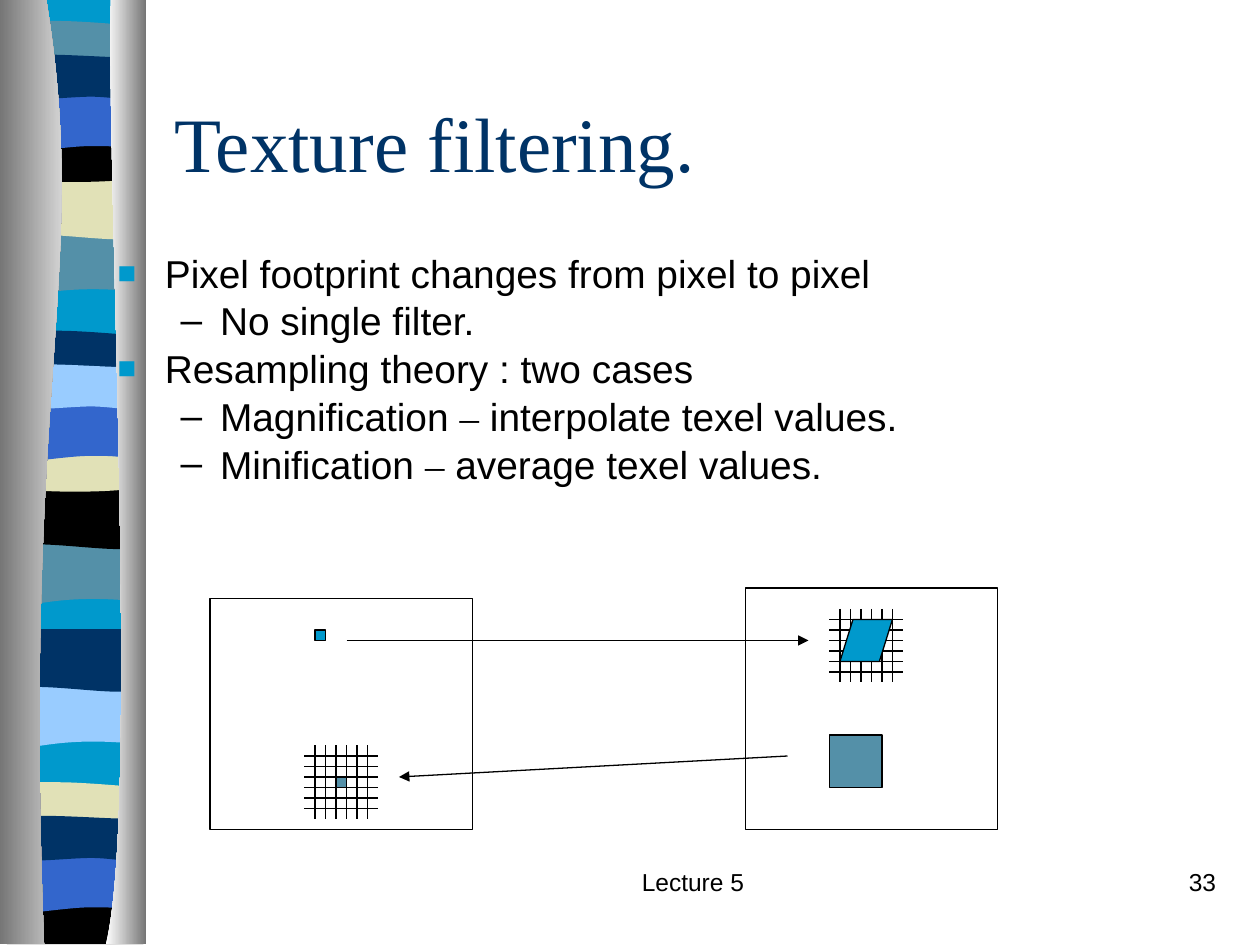
from lxml import etree
from pptx import Presentation
from pptx import util as u
from pptx.dml import color
from pptx.enum import shapes, text
from pptx.oxml import ns

Pt = u.Pt
BLACK, WHITE, NAVY, ROYAL = "000000", "FFFFFF", "003366", "3366CC"
CYAN, TEAL, SAND, SKY, GREY = "0099CC", "5490A8", "E1E1B7", "99CCFF", "767676"
STEP = 6

WAVES = {
    "tide": (118, [(82, 0), (82, 0, 82, 34, 82, 34), (28, 28, 17, 40, 4, 34), (4, 0)]),
    "swell": (86, [(82, 0), (82, 34), (69, 39.6, 28, 30, 4, 34), (4, 0)]),
    "strip": (0, [(82, 0), (82, 17.3), (69, 20, 17, 20, 4, 17.3), (4, 0),
                  (8, -3.6, 21, -3, 34, -3), (47, -3, 72, -0.7, 82, 0)]),
    "dip": (62.5, [(82, 0), (82, 23.5), (69, 27.5, 17, 27.5, 4, 23.5), (4, 0),
                   (52, 3.6, 65, 0, 82, 0)]),
    "floor": (62.5, [(82, 0), (82, 27), (4, 27), (4, 0), (52, 3.6, 65, 0, 82, 0)]),
    "arch": (38.5, [(82, 0), (82, 0, 82, 34, 82, 34), (70, 30, 65, 30, 52, 30),
                    (39, 30, 16, 34, 4, 34), (4, 0)]),
    "ripple": (17.8, [(82, 0), (82, 22.5), (77, 26, 65, 22.5, 52, 22.5),
                      (39, 22.5, 12, 26, 4, 22.5), (4, 0),
                      (15, -3.6, 57, 0, 70, 0), (83, 0, 79, 0, 82, 0)]),
}
BANDS = [
    (15, {"tide": TEAL, "swell": SAND, "strip": TEAL, "dip": BLACK,
          "arch": ROYAL, "ripple": NAVY}),
    (192, {"tide": TEAL, "swell": BLACK, "strip": NAVY, "dip": SAND,
           "arch": ROYAL, "ripple": SKY}),
    (273.5, {"tide": SKY, "swell": NAVY}),
    (450, {"strip": SAND, "floor": BLACK, "arch": ROYAL, "ripple": NAVY}),
]
LEFT_PILLAR = [(26.5, 0), (51.8, 156, 12.5, 213, 25.2, 539.5), (0, 539.5), (0, 0)]
RIGHT_PILLAR = [(63.4, 0), (60.5, 90, 80, 465, 60.5, 539.5), (83.5, 539.5), (83.5, 0)]
POINTS = [
    (0, [("Pixel footprint changes from pixel to pixel", "Arial")]),
    (1, [("No single filter.", "Arial")]),
    (0, [("Resampling theory : two cases", "Arial")]),
    (1, [("Magnification ", "Arial"), ("–", "Times New Roman"),
         (" interpolate texel values.", "Arial")]),
    (1, [("Minification ", "Arial"), ("–", "Times New Roman"),
         (" average texel values.", "Arial")]),
]
BULLETS = [(27, -27, "■", CYAN, 80), (58.5, -22.5, "–", BLACK, 100)]


def rgb(value):
    """Turn a hex string into a colour."""
    return color.RGBColor.from_string(value)


class Painter:
    """Hold the style and the current page."""

    def __init__(self, page, line=0.75):
        self.page, self.line = page, line

    def outline(self, parts, fill, top=0):
        """Draw corners and cubic curves as a borderless filled outline."""
        points = [(Pt(part[i]), Pt(part[i + 1] + top))
                  for part in parts for i in range(0, len(part), 2)]
        builder = self.page.shapes.build_freeform(*points[0], scale=1.0)
        builder.add_line_segments(points[1:], close=True)
        shape = builder.convert_to_shape()
        segments = iter(list(shape._element.iter(ns.qn("a:lnTo"))))
        for part in parts[1:]:
            first = next(segments)
            if len(part) == 6:
                first.tag = ns.qn("a:cubicBezTo")
                for segment in (next(segments), next(segments)):
                    first.append(segment[0])
                    segment.getparent().remove(segment)
        shape.shadow.inherit = False
        shape.line.fill.background()
        if isinstance(fill, str):
            shape.fill.solid()
            shape.fill.fore_color.rgb = rgb(fill)
        else:
            shape.fill.gradient()
            shape.fill.gradient_angle = 0
            for stop, value in zip(shape.fill.gradient_stops, fill):
                stop.color.rgb = rgb(value)

    def block(self, x, y, width, height, fill, kind=shapes.MSO_SHAPE.RECTANGLE):
        """Draw a filled preset shape with a thin border."""
        shape = self.page.shapes.add_shape(kind, Pt(x), Pt(y), Pt(width), Pt(height))
        shape.shadow.inherit = False
        shape.fill.solid()
        shape.fill.fore_color.rgb = rgb(fill)
        shape.line.color.rgb = rgb(BLACK)
        shape.line.width = Pt(self.line)
        return shape

    def stroke(self, *ends, arrow=False):
        """Draw a straight line, with an arrowhead at its end if asked."""
        line = self.page.shapes.add_connector(
            shapes.MSO_CONNECTOR.STRAIGHT, *[Pt(end) for end in ends])
        line.line.color.rgb = rgb(BLACK)
        line.line.width = Pt(self.line)
        if arrow:
            etree.SubElement(line.line._get_or_add_ln(), ns.qn("a:tailEnd"), type="triangle")
        etree.SubElement(line._element.spPr, ns.qn("a:effectLst"))

    def grid(self, x, y, count=6):
        """Draw a texel grid whose lines overhang by one step."""
        size = (count + 1) * STEP
        for i in range(1, count + 1):
            self.stroke(x + i * STEP, y, x + i * STEP, y + size)
        for i in range(count, 0, -1):
            self.stroke(x, y + i * STEP, x + size, y + i * STEP)

    def span(self, para, words, font, size, value=BLACK):
        """Add one styled run."""
        span = para.add_run()
        span.text = words
        span.font.name, span.font.size = font, Pt(size)
        span.font.color.rgb = rgb(value)

    def place(self, box, x, y, width, height):
        """Move a placeholder to the front and fix its place and size."""
        self.page.shapes._spTree.append(box._element)
        box.left, box.top, box.width, box.height = Pt(x), Pt(y), Pt(width), Pt(height)
        box.text_frame.word_wrap = True
        box.text_frame.auto_size = text.MSO_AUTO_SIZE.NONE

    def title(self, words):
        """Fill the title placeholder."""
        box = self.page.shapes.title
        self.place(box, 92.4, 36, 612, 90)
        box.text_frame.vertical_anchor = text.MSO_ANCHOR.MIDDLE
        para = box.text_frame.paragraphs[0]
        para.alignment = text.PP_ALIGN.LEFT
        self.span(para, words, "Times New Roman", 44, NAVY)

    def bullets(self, points):
        """Fill the body placeholder with a two-level list."""
        box = self.page.placeholders[1]
        self.place(box, 60, 144, 612, 137.5)
        for i, (level, spans) in enumerate(points):
            para = box.text_frame.add_paragraph() if i else box.text_frame.paragraphs[0]
            para.level, para.line_spacing = level, 0.8
            para.space_before = Pt(6 if i else 0)
            margin, indent, mark, tint, percent = BULLETS[level]
            props = para._p.get_or_add_pPr()
            props.set("marL", str(Pt(margin)))
            props.set("indent", str(Pt(indent)))
            paint = etree.SubElement(props, ns.qn("a:buClr"))
            etree.SubElement(paint, ns.qn("a:srgbClr"), val=tint)
            etree.SubElement(props, ns.qn("a:buSzPct"), val=str(percent * 1000))
            etree.SubElement(props, ns.qn("a:buFont"), typeface="Arial")
            etree.SubElement(props, ns.qn("a:buChar"), char=mark)
            for words, font in spans:
                self.span(para, words, font, 22.2)

    def footer(self, words, x, width, align):
        """Add a text box on the footer line."""
        box = self.page.shapes.add_textbox(Pt(x), Pt(492), Pt(width), Pt(36))
        box.text_frame.word_wrap = True
        para = box.text_frame.paragraphs[0]
        para.alignment = align
        self.span(para, words, "Arial", 14)


def main():
    """Build the texture filtering page."""
    deck = Presentation()
    deck.slide_width, deck.slide_height = Pt(720), Pt(540)
    painter = Painter(deck.slides.add_slide(deck.slide_layouts[1]))

    painter.outline([(82, 0), (82, 538), (4, 538), (4, 0)], CYAN)
    for top, bands in BANDS:
        for wave, fill in bands.items():
            offset, parts = WAVES[wave]
            painter.outline(parts, fill, top + offset)
    painter.outline(LEFT_PILLAR, (GREY, WHITE))
    painter.outline(RIGHT_PILLAR, (WHITE, GREY))

    painter.footer("Lecture 5", 282, 228, text.PP_ALIGN.CENTER)
    painter.footer("33", 552, 150, text.PP_ALIGN.RIGHT)
    painter.title("Texture filtering.")
    painter.bullets(POINTS)

    painter.block(120, 342, 150, 132, WHITE)
    painter.block(426, 336, 144, 138, WHITE)
    painter.grid(174, 426)
    painter.grid(474, 348)
    painter.block(180, 360, STEP, STEP, CYAN)
    painter.block(474, 420, 30, 30, TEAL)
    footprint = painter.block(480, 354, 30, 24, CYAN, shapes.MSO_SHAPE.PARALLELOGRAM)
    footprint.adjustments[0] = 0.31
    painter.stroke(198, 366, 462, 366, arrow=True)
    painter.block(192, 444, STEP, STEP, TEAL)
    painter.stroke(450, 432, 228, 444, arrow=True)
    deck.save("out.pptx")


if __name__ == "__main__":
    main()
